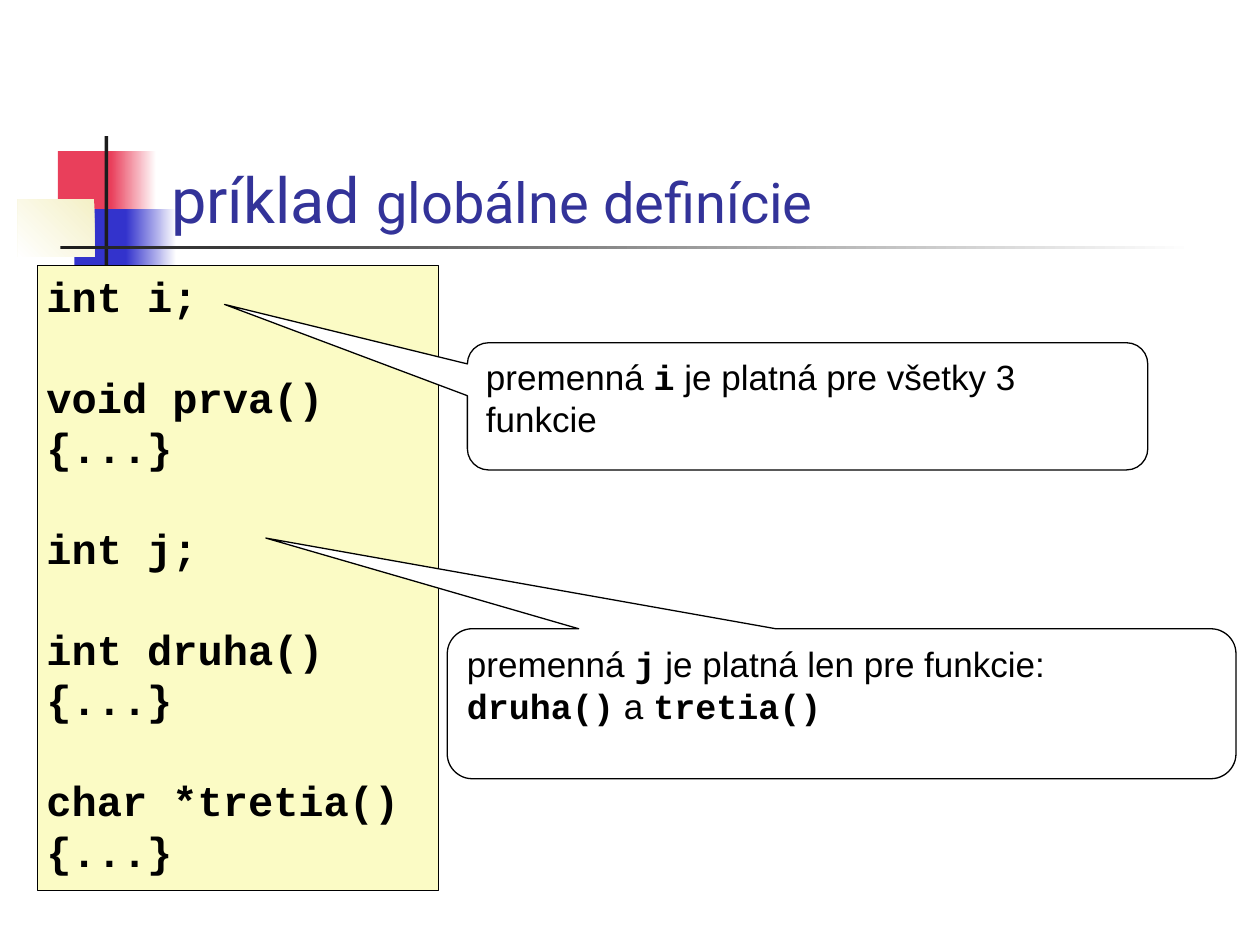
from pptx import Presentation
from pptx.dml.color import RGBColor
from pptx.enum.shapes import MSO_SHAPE
from pptx.enum.text import MSO_ANCHOR, PP_ALIGN
from pptx.util import Inches, Pt

RECT = MSO_SHAPE.RECTANGLE
CALLOUT = MSO_SHAPE.ROUNDED_RECTANGULAR_CALLOUT
TOP, BOTTOM = MSO_ANCHOR.TOP, MSO_ANCHOR.BOTTOM
LEFT = PP_ALIGN.LEFT

BLACK, WHITE, DARK = "000000", "FFFFFF", "1C1C1C"
RED, BLUE, CREAM = "E93F5B", "3333CC", "F4F0C6"
CODE_FILL, TITLE_COLOR = "FBFBC5", "333399"
LINE_FACTOR = 1.2  # line pitch relative to the text size


def rgb(value):
    return RGBColor.from_string(value)


def add_box(s, box, fill, kind=RECT, outlined=False):
    sp = s.shapes.add_shape(kind, *map(Inches, box))
    sp.shadow.inherit = False
    sp.fill.solid()
    sp.fill.fore_color.rgb = rgb(fill)
    if outlined:
        sp.line.color.rgb = rgb(BLACK)
        sp.line.width = Pt(0.75)
    else:
        sp.line.fill.background()
    return sp


def add_fade(s, box, color, angle=0):
    """Rectangle that fades from a colour to white."""
    sp = add_box(s, box, color)
    sp.fill.gradient()
    sp.fill.gradient_angle = angle
    for stop, value in zip(sp.fill.gradient_stops, (color, WHITE)):
        stop.color.rgb = rgb(value)


def add_text_box(s, box, anchor=TOP):
    tf = s.shapes.add_textbox(*map(Inches, box)).text_frame
    tf.word_wrap = True
    tf.vertical_anchor = anchor
    return tf


def next_paragraph(tf, index):
    p = tf.paragraphs[0] if index == 0 else tf.add_paragraph()
    p.alignment = LEFT
    return p


def add_run(p, text, size, font, color=BLACK, bold=False):
    r = p.add_run()
    r.text = text
    r.font.size = Pt(size)
    r.font.name = font
    r.font.bold = bold
    r.font.color.rgb = rgb(color)


def add_code(s, box, groups, size=24):
    """Code lines, with one line of space between groups."""
    tf = add_text_box(s, box)
    pitch = Pt(size * LINE_FACTOR)
    lines = [(line, g > 0 and n == 0)
             for g, group in enumerate(groups) for n, line in enumerate(group)]
    for i, (line, starts_group) in enumerate(lines):
        p = next_paragraph(tf, i)
        p.line_spacing = pitch
        if starts_group:
            p.space_before = pitch
        add_run(p, line, size, "Courier New", bold=True)


def add_callout(s, box, tip, lines, size=20):
    """Callout whose lines hold (text, is_code) runs."""
    sp = add_box(s, box, WHITE, CALLOUT, outlined=True)
    for i, value in enumerate((*tip, 0.167)):
        sp.adjustments[i] = value
    tf = sp.text_frame
    tf.word_wrap = True
    tf.vertical_anchor = TOP
    for i, runs in enumerate(lines):
        p = next_paragraph(tf, i)
        p.line_spacing = Pt(size * LINE_FACTOR)
        for text, is_code in runs:
            add_run(p, text, size, "Courier New" if is_code else "Arial",
                    bold=is_code)


def add_decoration(s):
    add_box(s, (0.46, 1.2, 0.48, 0.52), RED)
    add_fade(s, (0.88, 1.2, 0.36, 0.52), RED)
    add_box(s, (0.59, 1.66, 0.46, 0.52), BLUE)
    add_fade(s, (1, 1.66, 0.4, 0.52), BLUE)
    add_fade(s, (0.14, 1.58, 0.61, 0.46), CREAM, angle=225)
    add_box(s, (0.83, 1.08, 0.03, 1.15), DARK)
    add_fade(s, (0.48, 1.95, 9, 0.03), DARK)


def main():
    prs = Presentation()
    prs.slide_width, prs.slide_height = Inches(10), Inches(7.5)
    s = prs.slides.add_slide(prs.slide_layouts[6])

    add_decoration(s)

    # Title
    p = next_paragraph(add_text_box(s, (1.26, 0.67, 8.52, 1.25), BOTTOM), 0)
    add_run(p, "príklad ", 36, "Roboto", TITLE_COLOR)
    add_run(p, "globálne definície", 32, "Roboto", TITLE_COLOR)

    # Code panel
    add_box(s, (0.3, 2.11, 3.18, 4.96), CODE_FILL, outlined=True)
    add_code(s, (0.27, 2.1, 3.1, 4.9), [
        ["int i;"],
        ["void prva()", "{...}"],
        ["int j;"],
        ["int druha()", "{...}"],
        ["char *tretia()", "{...}"],
    ])

    # Scope explanations
    add_callout(s, (3.71, 2.72, 5.4, 1.01), (-0.857, -0.801), [
        [("premenná ", False), ("i", True),
         (" je platná pre všetky 3 funkcie", False)],
    ])
    add_callout(s, (3.55, 4.99, 6.26, 1.19), (-0.73, -1.105), [
        [("premenná ", False), ("j", True),
         (" je platná len pre funkcie:", False)],
        [("druha()", True), (" a ", False), ("tretia()", True)],
    ])

    prs.save("out.pptx")


if __name__ == "__main__":
    main()
